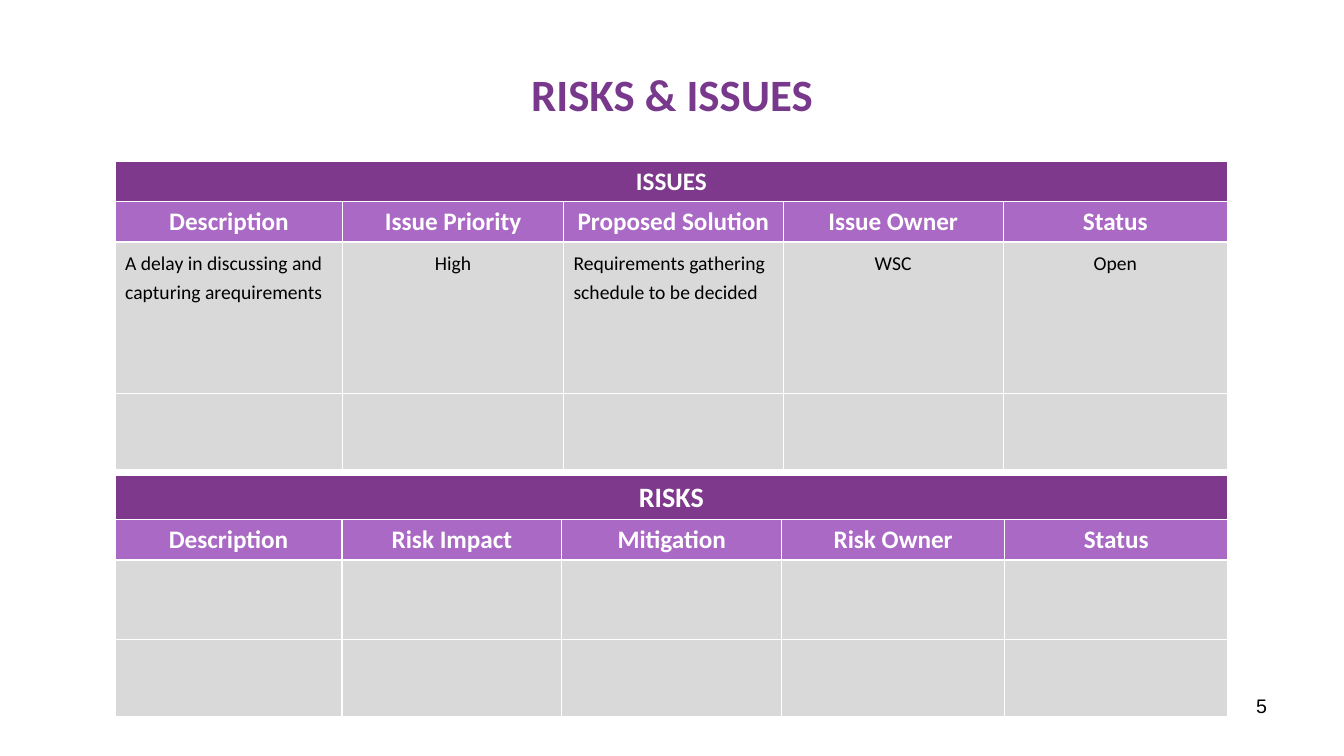
from lxml.etree import SubElement
from pptx import Presentation
from pptx.dml.color import RGBColor
from pptx.enum.text import MSO_ANCHOR, PP_ALIGN
from pptx.oxml.ns import qn
from pptx.util import Cm, Pt

TITLE_PURPLE = RGBColor(0x78, 0x39, 0x8D)
BAND_PURPLE = RGBColor(0x7F, 0x39, 0x8C)
HEADER_PURPLE = RGBColor(0xA9, 0x69, 0xC4)
BODY_GREY = RGBColor(0xD9, 0xD9, 0xD9)
WHITE = RGBColor(0xFF, 0xFF, 0xFF)
BLACK = RGBColor(0x00, 0x00, 0x00)


def write(frame, text, size, color, bold=False, align=PP_ALIGN.CENTER, font="Calibri"):
    paragraph = frame.paragraphs[0]
    paragraph.text = text
    paragraph.alignment = align
    paragraph.font.name = font
    paragraph.font.size = Pt(size)
    paragraph.font.bold = bold
    paragraph.font.color.rgb = color
    return paragraph


def paint(cell, color):
    # Borders go before the fill in the cell properties
    properties = cell._tc.get_or_add_tcPr()
    for side in ("a:lnL", "a:lnR", "a:lnT", "a:lnB"):
        line = SubElement(properties, qn(side), w=str(Pt(1)))
        SubElement(SubElement(line, qn("a:solidFill")), qn("a:srgbClr"), val=str(WHITE))
    cell.fill.solid()
    cell.fill.fore_color.rgb = color


prs = Presentation()
prs.slide_width, prs.slide_height = Cm(33.87), Cm(19.05)
slide = prs.slides.add_slide(prs.slide_layouts[6])

# Title
title = slide.shapes.add_textbox(Cm(1.7), Cm(0.76), Cm(30.48), Cm(3.18)).text_frame
title.word_wrap = True
title.vertical_anchor = MSO_ANCHOR.MIDDLE
write(title, "RISKS & ISSUES", 32, TITLE_PURPLE, bold=True)

# Page number
page_number = slide.shapes.add_textbox(Cm(24.28), Cm(17.35), Cm(7.9), Cm(1.32)).text_frame
page_number.word_wrap = True
write(page_number, "5", 14, BLACK, align=PP_ALIGN.RIGHT, font="Arial")

# Registers: band, band size, top, column widths, row heights, headers, entry
registers = [
    ("ISSUES", 18, 4.06, (5.74, 5.56, 5.54, 5.54, 5.66), (1.02, 1.02, 3.81, 1.93),
     ("Description", "Issue Priority", "Proposed Solution", "Issue Owner", "Status"),
     ("A delay in discussing and capturing arequirements", "High",
      "Requirements gathering schedule to be decided", "WSC", "Open")),
    ("RISKS", 20, 11.99, (5.72, 5.54, 5.54, 5.62, 5.62), (1.09, 1.02, 2.01, 1.93),
     ("Description", "Risk Impact", "Mitigation", "Risk Owner", "Status"),
     ()),
]
row_fills = (BAND_PURPLE, HEADER_PURPLE, BODY_GREY, BODY_GREY)

for band, band_size, top, widths, heights, headers, entry in registers:
    register = slide.shapes.add_table(
        len(heights), len(widths), Cm(2.9), Cm(top), Cm(sum(widths)), Cm(sum(heights))
    ).table
    for column, width in zip(register.columns, widths):
        column.width = Cm(width)
    for row, height, fill in zip(register.rows, heights, row_fills):
        row.height = Cm(height)
        for cell in row.cells:
            paint(cell, fill)

    # Band across all columns
    register.cell(0, 0).merge(register.cell(0, len(widths) - 1))
    write(register.cell(0, 0).text_frame, band, band_size, WHITE, bold=True)

    # Column headers
    for index, header in enumerate(headers):
        write(register.cell(1, index).text_frame, header, 18, WHITE, bold=True)

    # First entry: the long texts are set left
    for index, text in enumerate(entry):
        align = PP_ALIGN.LEFT if index in (0, 2) else PP_ALIGN.CENTER
        detail = write(register.cell(2, index).text_frame, text, 14, BLACK, align=align)
        detail.line_spacing = 1.2

prs.save("out.pptx")
